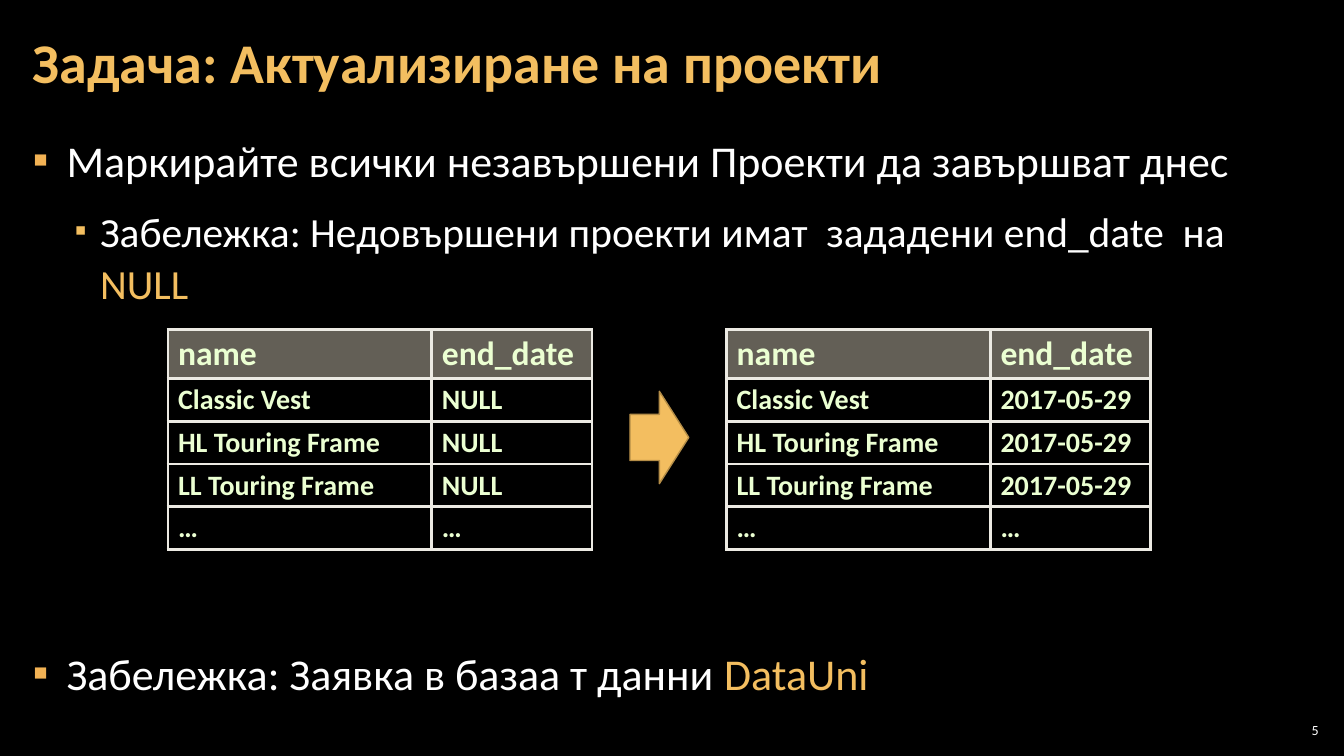
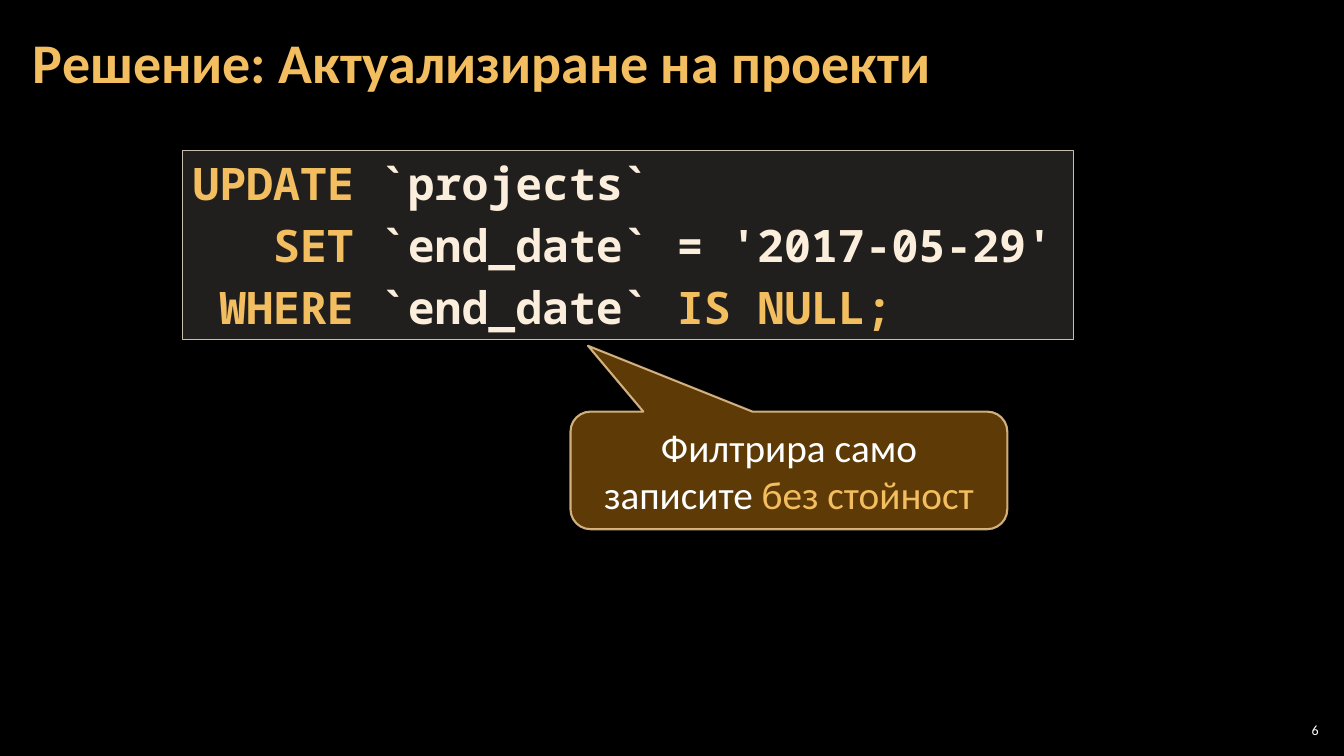
from lxml import etree
from pptx import Presentation
from pptx.dml.color import RGBColor
from pptx.enum.shapes import MSO_SHAPE
from pptx.enum.text import MSO_ANCHOR, PP_ALIGN
from pptx.oxml.ns import qn
from pptx.util import Pt

# Shared style
BLACK = RGBColor(0x00, 0x00, 0x00)
WHITE = RGBColor(0xFF, 0xFF, 0xFF)
GOLD = RGBColor(0xF3, 0xBE, 0x60)
BULLET_GOLD = RGBColor(0xF2, 0xB2, 0x54)
ARROW_EDGE = RGBColor(0xB4, 0x8D, 0x47)
CREAM = RGBColor(0xFB, 0xEE, 0xDC)
SAND = RGBColor(0xC7, 0xBF, 0xAC)
CODE_FILL = RGBColor(0xD9, 0xD5, 0xC7)
GRID = RGBColor(0xEC, 0xEA, 0xE3)
CELL_TEXT = RGBColor(0xEB, 0xFF, 0xD2)
CALLOUT_FILL = RGBColor(0x64, 0x3F, 0x07)
CALLOUT_EDGE = RGBColor(0xF8, 0xD4, 0x9E)
FONT = "Calibri"
CODE_FONT = "Noto Sans Mono"
CODE_SIZE = 32
CODE_CHARACTER = 0.6 * CODE_SIZE  # width of one monospaced character

LEFT, RIGHT, CENTER = PP_ALIGN.LEFT, PP_ALIGN.RIGHT, PP_ALIGN.CENTER
TOP, MIDDLE = MSO_ANCHOR.TOP, MSO_ANCHOR.MIDDLE
RECTANGLE = MSO_SHAPE.RECTANGLE
RIGHT_ARROW = MSO_SHAPE.RIGHT_ARROW
CALLOUT = MSO_SHAPE.ROUNDED_RECTANGULAR_CALLOUT

# Slide content
TABLE_HEADER = ("name", "end_date")
PROJECTS = ("Classic Vest", "HL Touring Frame", "LL Touring Frame")
COLUMN_WIDTHS = (188.5, 114.5)
HEADER_HEIGHT, ROW_HEIGHT = 35, 30.5


def set_alpha(parent, percent):
    """Make the solid fill inside an XML element partly transparent."""
    color = parent.find(qn("a:solidFill"))[0]
    etree.SubElement(color, qn("a:alpha"), val=str(percent * 1000))


def set_indent(paragraph, left, first=0):
    properties = paragraph._p.get_or_add_pPr()
    properties.set("marL", str(Pt(left)))
    properties.set("indent", str(Pt(first)))
    return properties


def set_bullet(paragraph, left, hanging, color, percent=100):
    properties = set_indent(paragraph, left, -hanging)
    bullet_color = etree.SubElement(properties, qn("a:buClr"))
    etree.SubElement(bullet_color, qn("a:srgbClr"), val=str(color))
    etree.SubElement(properties, qn("a:buSzPct"), val=str(percent * 1000))
    etree.SubElement(properties, qn("a:buFont"), typeface=FONT)
    etree.SubElement(properties, qn("a:buChar"), char="▪")


def write(frame, *runs, size, color=WHITE, font=FONT, bold=False, align=LEFT,
          line_spacing=1.0, before=0, after=0):
    """Write one paragraph; a run is a text or a (text, color) pair."""
    paragraph = frame.paragraphs[0]
    if paragraph.runs:
        paragraph = frame.add_paragraph()
    paragraph.alignment = align
    paragraph.line_spacing = line_spacing
    paragraph.space_before = Pt(before)
    paragraph.space_after = Pt(after)
    for item in runs:
        text, run_color = (item, color) if isinstance(item, str) else item
        run = paragraph.add_run()
        run.text = text
        run.font.name = font
        run.font.size = Pt(size)
        run.font.bold = bold
        run.font.color.rgb = run_color
    return paragraph


def add_text_box(slide, left, top, width, height, inset, anchor=TOP):
    box = slide.shapes.add_textbox(Pt(left), Pt(top), Pt(width), Pt(height))
    frame = box.text_frame
    frame.word_wrap = True
    frame.vertical_anchor = anchor
    frame.margin_left = frame.margin_right = Pt(inset)
    frame.margin_top = frame.margin_bottom = Pt(3)
    return frame


def add_shape(slide, kind, left, top, width, height, fill, line,
              line_width=1, fill_alpha=100, line_alpha=100):
    shape = slide.shapes.add_shape(kind, Pt(left), Pt(top), Pt(width), Pt(height))
    shape.shadow.inherit = False
    shape.fill.solid()
    shape.fill.fore_color.rgb = fill
    shape.line.color.rgb = line
    shape.line.width = Pt(line_width)
    properties = shape.element.spPr
    set_alpha(properties, fill_alpha)
    set_alpha(properties.find(qn("a:ln")), line_alpha)
    shape.text_frame.word_wrap = True
    shape.text_frame.vertical_anchor = MIDDLE
    return shape


def set_borders(cell):
    properties = cell._tc.get_or_add_tcPr()
    for side in ("L", "R", "T", "B"):
        line = etree.SubElement(properties, qn(f"a:ln{side}"), w=str(Pt(2.25)))
        fill = etree.SubElement(line, qn("a:solidFill"))
        etree.SubElement(fill, qn("a:srgbClr"), val=str(GRID))


def add_project_table(slide, left, top, end_date):
    rows = [TABLE_HEADER, *((name, end_date) for name in PROJECTS), ("…", "…")]
    heights = [HEADER_HEIGHT] + [ROW_HEIGHT] * (len(rows) - 1)
    table = slide.shapes.add_table(
        len(rows), len(COLUMN_WIDTHS), Pt(left), Pt(top),
        Pt(sum(COLUMN_WIDTHS)), Pt(sum(heights))).table
    table.first_row = table.horz_banding = False
    for column, width in zip(table.columns, COLUMN_WIDTHS):
        column.width = Pt(width)
    for row_index, values in enumerate(rows):
        is_header = row_index == 0
        table.rows[row_index].height = Pt(heights[row_index])
        for column_index, value in enumerate(values):
            cell = table.cell(row_index, column_index)
            set_borders(cell)
            if is_header:
                cell.fill.solid()
                cell.fill.fore_color.rgb = SAND
                set_alpha(cell._tc.tcPr, 50)
            else:
                cell.fill.background()
            write(cell.text_frame, value, size=24 if is_header else 20,
                  color=CELL_TEXT, bold=True, line_spacing=0.95)


def add_slide(presentation, title, number):
    """Add a black slide with its title and page number."""
    slide = presentation.slides.add_slide(presentation.slide_layouts[6])
    slide.background.fill.solid()
    slide.background.fill.fore_color.rgb = BLACK
    write(add_text_box(slide, 15, 3, 754, 87, 8.5, MIDDLE), title,
          size=40, color=GOLD, bold=True, line_spacing=0.9)
    write(add_text_box(slide, 911, 514, 34, 15, 3, MIDDLE), str(number),
          size=10, align=RIGHT)
    return slide


def build_task_slide(presentation):
    slide = add_slide(presentation, "Задача: Актуализиране на проекти", 5)

    # Bulleted task; the last point stands below the tables
    body = add_text_box(slide, 15, 90.5, 929.5, 438.5, 8.5)
    spacing = {"line_spacing": 1.05, "after": 6}
    task = write(body, "Маркирайте всички незавършени Проекти да завършват днес",
                 size=31.4, before=6, **spacing)
    note = write(body, "Забележка: Недовършени проекти имат  зададени end_date  на ",
                 ("NULL", GOLD), size=29.6, before=6, **spacing)
    database = write(body, "Забележка: Заявка в базаа т данни ", ("DataUni", GOLD),
                     size=31.4, before=234, **spacing)
    for paragraph in (task, database):
        set_bullet(paragraph, 24, 24, BULLET_GOLD)
    note.level = 1
    set_bullet(note, 48, 18, GOLD, 80)

    # Table before and after the update
    add_project_table(slide, 120, 235.5, "NULL")
    add_project_table(slide, 519, 235.5, "2017-05-29")
    add_shape(slide, RIGHT_ARROW, 450, 279.5, 42, 66, GOLD, ARROW_EDGE)


def build_solution_slide(presentation):
    slide = add_slide(presentation, "Решение: Актуализиране на проекти", 6)

    # SQL statement with right-aligned keywords
    code = add_shape(slide, RECTANGLE, 130.5, 107.5, 636.5, 135,
                     CODE_FILL, SAND, fill_alpha=15)
    code.text_frame.vertical_anchor = TOP
    statement = (
        (0, ("UPDATE ", GOLD), "`projects`"),
        (3, ("SET ", GOLD), "`end_date` = '2017-05-29'"),
        (1, ("WHERE ", GOLD), "`end_date` ", ("IS NULL;", GOLD)),
    )
    for indent, *runs in statement:
        paragraph = write(code.text_frame, *runs, size=CODE_SIZE, color=CREAM,
                          font=CODE_FONT, bold=True, before=6)
        set_indent(paragraph, indent * CODE_CHARACTER)

    # Explanation of the filter
    callout = add_shape(slide, CALLOUT, 407.5, 294, 312, 84, CALLOUT_FILL,
                        CALLOUT_EDGE, 1.5, fill_alpha=95, line_alpha=80)
    for index, value in enumerate((-0.46, -1.06, 0.17)):
        callout.adjustments[index] = value
    write(callout.text_frame, "Филтрира само записите ", ("без стойност", GOLD),
          size=28, align=CENTER)


def main():
    presentation = Presentation()
    presentation.slide_width = Pt(960)
    presentation.slide_height = Pt(540)
    build_task_slide(presentation)
    build_solution_slide(presentation)
    presentation.save("out.pptx")


if __name__ == "__main__":
    main()
